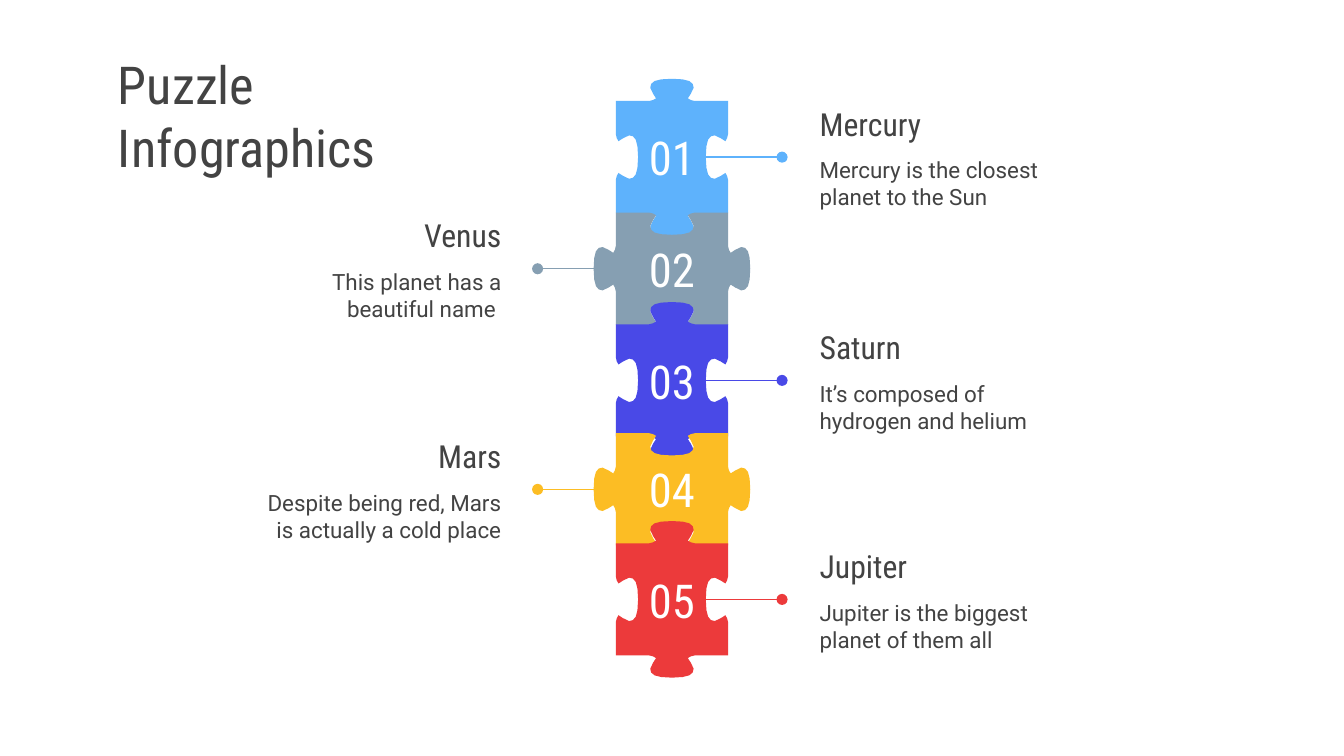
import pptx
import pptx.util
import pptx.dml.color
import pptx.enum.shapes
import pptx.enum.text
import pptx.oxml
import pptx.oxml.ns
from dataclasses import dataclass

Cm = pptx.util.Cm
Align = pptx.enum.text.PP_ALIGN
Anchor = pptx.enum.text.MSO_ANCHOR

MID = 12.7    # centre line of the puzzle, cm
HALF = 1.06   # half the side of a piece, cm
GREY, WHITE = "434343", "FFFFFF"
HEAD, BODY = "Roboto Condensed", "Roboto"

# Half of a knob: (along the edge, outward), cm, as Bezier control points,
# each curve with the number of straight steps that draw it
START = (-0.43, 0)
CURVES = [
    (2, (-0.41, 0), (-0.30, 0.03), (-0.30, 0.05)),
    (2, (-0.30, 0.08), (-0.41, 0.18), (-0.41, 0.25)),
    (4, (-0.41, 0.36), (-0.33, 0.42), (0, 0.42)),
]


@dataclass
class Piece:
    num: str
    y: float
    hue: str
    name: str
    note: str
    right: bool  # label on the right; such pieces have side notches


PIECES = [
    Piece("01", 2.97, "5EB2FC", "Mercury",
          "Mercury is the closest planet to the Sun", True),
    Piece("02", 5.08, "869FB2", "Venus",
          "This planet has a beautiful name ", False),
    Piece("03", 7.19, "4949E7", "Saturn",
          "It’s composed of hydrogen and helium", True),
    Piece("04", 9.25, "FCBD24", "Mars",
          "Despite being red, Mars is actually a cold place", False),
    Piece("05", 11.33, "EC3A3B", "Jupiter",
          "Jupiter is the biggest planet of them all", True),
]


def rgb(code: str):
    return pptx.dml.color.RGBColor.from_string(code)


def knob() -> list:
    """Points of a whole knob, left to right along an edge."""
    half, a = [START], START
    for steps, b, c, d in CURVES:
        for i in range(1, steps + 1):
            t = i / steps
            u = 1 - t
            half.append(tuple(
                u**3 * a[k] + 3 * u * u * t * b[k]
                + 3 * u * t * t * c[k] + t**3 * d[k] for k in (0, 1)))
        a = d
    return half + [(-x, n) for x, n in reversed(half[:-1])]


def style(frame, size, font, hue, align, anchor) -> None:
    frame.word_wrap = True
    frame.auto_size = pptx.enum.text.MSO_AUTO_SIZE.NONE
    frame.vertical_anchor = anchor
    frame.margin_left = frame.margin_right = Cm(0.25)
    frame.margin_top = frame.margin_bottom = Cm(0.25)
    for para in frame.paragraphs:
        para.alignment = align
        for run in para.runs:
            run.font.size = pptx.util.Pt(size)
            run.font.name = font
            run.font.color.rgb = rgb(hue)


def write(slide, box, text, size, font, hue, align, anchor) -> None:
    shape = slide.shapes.add_textbox(*map(Cm, box))
    shape.text_frame.text = text
    style(shape.text_frame, size, font, hue, align, anchor)


def draw(slide, piece: Piece) -> None:
    """Outline of a piece: four edges, clockwise from the top."""
    pts = []
    dx, dy = 1, 0
    for side in range(4):
        out = 1 if (side % 2 == 0) == piece.right else -1
        for t, n in [(-HALF, 0)] + knob():
            n = HALF + n * out
            pts.append((Cm(MID + t * dx + n * dy),
                        Cm(piece.y + t * dy - n * dx)))
        dx, dy = -dy, dx
    build = slide.shapes.build_freeform(*pts[0])
    build.add_line_segments(pts[1:], close=True)
    shape = build.convert_to_shape()
    shape.shadow.inherit = False
    shape.fill.solid()
    shape.fill.fore_color.rgb = rgb(piece.hue)
    shape.line.fill.background()


def link(slide, piece: Piece) -> None:
    """Line from the piece to a dot beside its label."""
    start, end = (13.31, 14.78) if piece.right else (11.63, 10.16)
    line = slide.shapes.add_connector(
        pptx.enum.shapes.MSO_CONNECTOR.STRAIGHT,
        Cm(start), Cm(piece.y), Cm(end), Cm(piece.y))
    line.line.color.rgb = rgb(piece.hue)
    line.line.width = pptx.util.Pt(0.75)
    space = pptx.oxml.ns.nsdecls("a")
    props = line._element.spPr
    props.find(pptx.oxml.ns.qn("a:ln")).append(pptx.oxml.parse_xml(
        f'<a:tailEnd {space} type="oval" w="med" len="med"/>'))
    props.append(pptx.oxml.parse_xml(f"<a:effectLst {space}/>"))


def label(slide, piece: Piece) -> None:
    left, align = (15.24, Align.LEFT) if piece.right else (4.5, Align.RIGHT)
    top = piece.y - 1.23
    write(slide, (left, top, 5.23, 1.19), piece.name,
          17, HEAD, GREY, align, Anchor.MIDDLE)
    write(slide, (left, top + 0.97, 5.23, 1.47), piece.note,
          12, BODY, GREY, align, Anchor.TOP)


def main() -> None:
    deck = pptx.Presentation()
    deck.slide_width, deck.slide_height = Cm(25.4), Cm(14.29)
    slide = deck.slides.add_slide(deck.slide_layouts[5])

    # Title
    title = slide.shapes.title
    title.left, title.top = Cm(1.98), Cm(1.5)
    title.width, title.height = Cm(8.18), Cm(1.35)
    title.text_frame.text = "Puzzle Infographics"
    style(title.text_frame, 28, HEAD, GREY, Align.LEFT, Anchor.MIDDLE)
    title.text_frame.margin_right = Cm(0.8)  # keeps the title on two lines

    # Puzzle column with its labels
    for piece in PIECES:
        label(slide, piece)
        draw(slide, piece)
        link(slide, piece)
        write(slide, (MID - HALF, piece.y - 0.44, 2 * HALF, 0.88), piece.num,
              25, HEAD, WHITE, Align.CENTER, Anchor.MIDDLE)

    deck.save("out.pptx")


if __name__ == "__main__":
    main()
